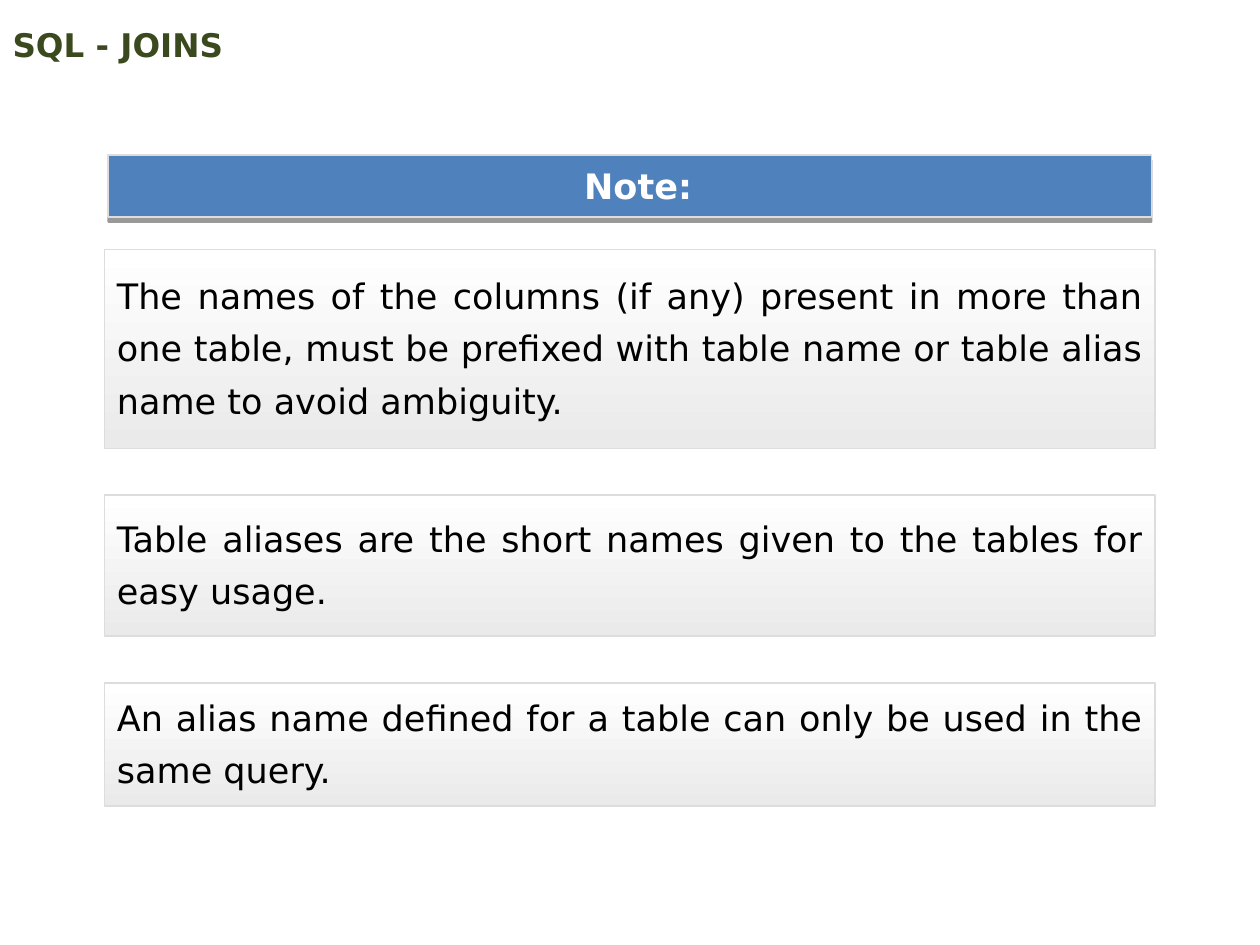
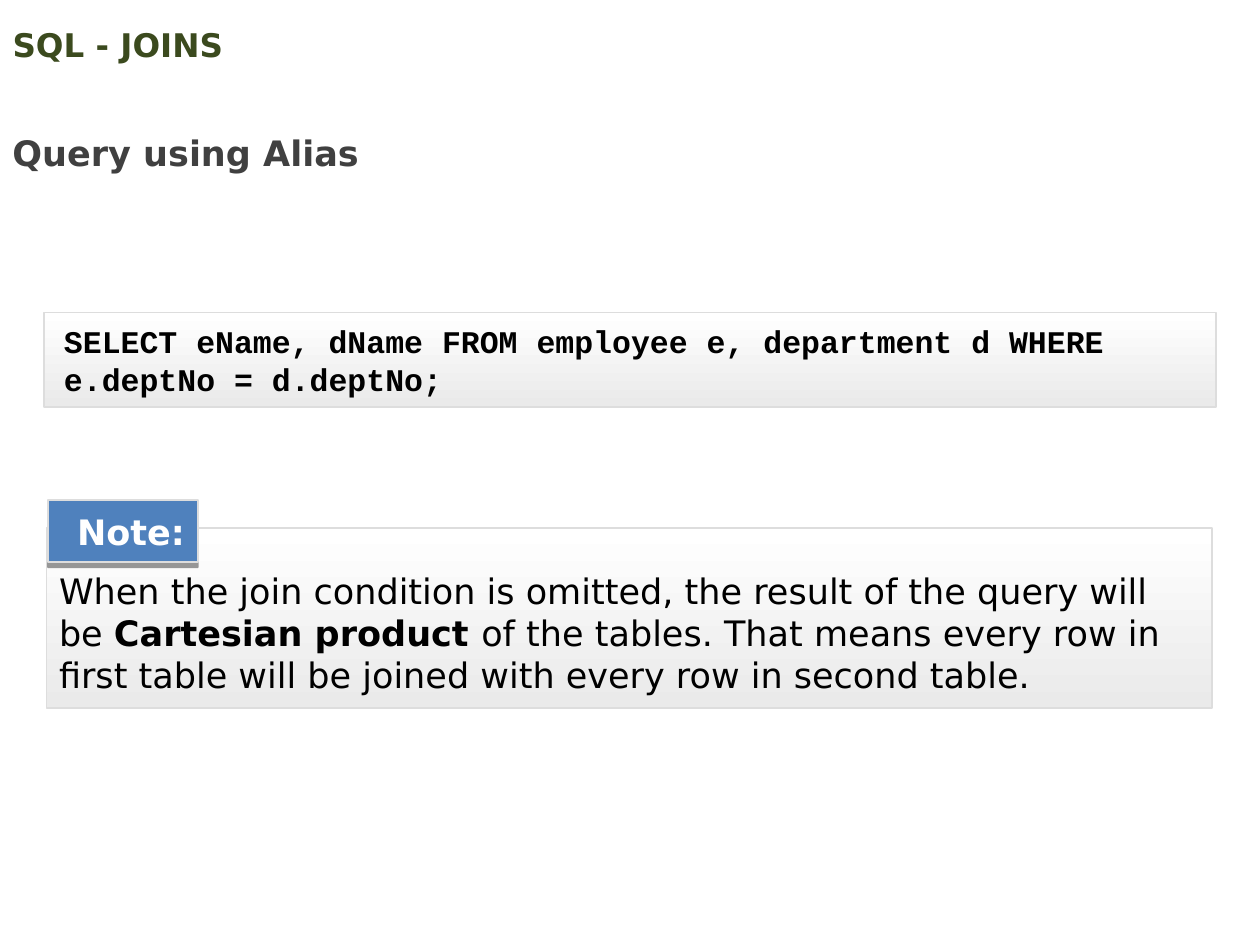
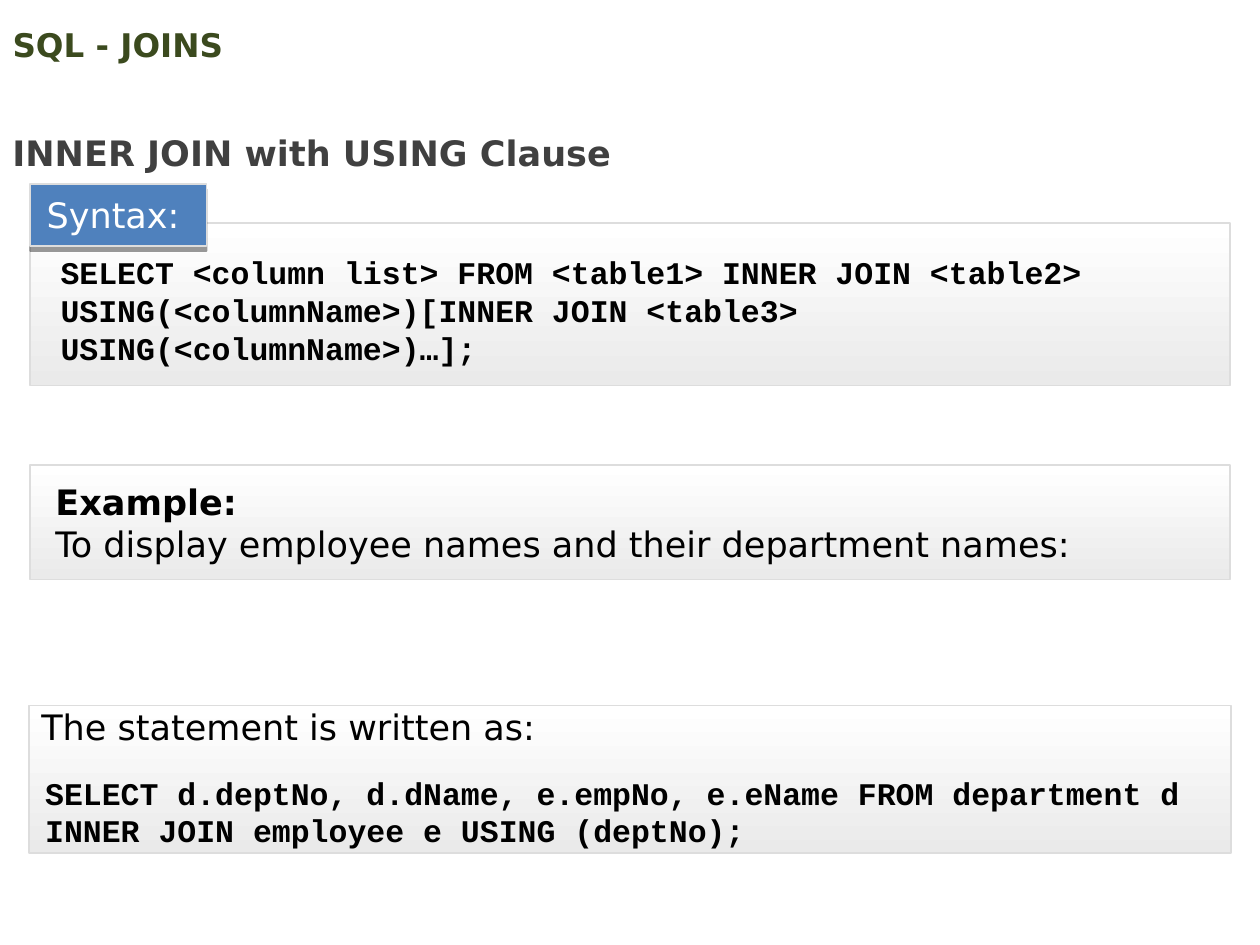
import pptx
import pptx.util
import pptx.dml.color
import pptx.enum.shapes
import pptx.enum.text
import pptx.oxml
import pptx.oxml.ns

Inches = pptx.util.Inches
Pt = pptx.util.Pt
Align = pptx.enum.text.PP_ALIGN
Anchor = pptx.enum.text.MSO_ANCHOR
Fit = pptx.enum.text.MSO_AUTO_SIZE
RECT = pptx.enum.shapes.MSO_SHAPE.RECTANGLE

# Content
TITLE = "SQL - JOINS"
NOTES = [
    (1.58, "The names of the columns (if any) present in more than one table, "
           "must be prefixed with table name or table alias name to avoid ambiguity."),
    (1.12, "Table aliases are the short names given to the tables for easy usage."),
    (0.98, "An alias name defined for a table can only be used in the same query."),
]
ALIAS = {
    "head": "Query using Alias",
    "query": "SELECT eName, dName FROM employee e, department d WHERE e.deptNo = d.deptNo;",
    "note": [("When the join condition is omitted, the result of the query will be ", "body"),
             ("Cartesian product ", "strong"),
             ("of the tables. That means every row in first table will be joined "
              "with every row in second table.", "body")],
}
INNER = {
    "head": "INNER JOIN with USING Clause",
    "syntax": ["SELECT <column list> FROM <table1> INNER JOIN <table2>",
               "USING(<columnName>)[INNER JOIN <table3> USING(<columnName>)…];"],
    "task": [("Example:", "strong"),
             ("To display employee names and their department names:", "body")],
    "lead": "The statement is written as:",
    "query": "SELECT d.deptNo, d.dName, e.empNo, e.eName FROM department d "
             "INNER JOIN employee e USING (deptNo);",
}

# Shared look
HUES = {"title": "3B4A1E", "head": "404040", "ink": "000000", "white": "FFFFFF",
        "badge": "4F81BD", "edge": "DDDDDD", "low": "EAEAEA"}
SANS, MONO = "DejaVu Sans", "Courier New"
STYLES = {  # font, size, bold, colour
    "title": (SANS, 18.6, True, "title"),
    "head": (SANS, 20, True, "head"),
    "body": (SANS, 20, False, "ink"),
    "strong": (SANS, 20, True, "ink"),
    "code": (MONO, 18, True, "ink"),
    "badge": (SANS, 20, True, "white"),
    "label": (SANS, 20, False, "white"),
}
INSET = (0.1, 0.05, 0.1, 0.05)
PAD = (0.1, 0, 0.1, 0.1)
SHADOW = ('<a:effectLst %s><a:outerShdw blurRad="0" dist="38100" dir="5400000" '
          'algn="ctr" rotWithShape="0"><a:srgbClr val="000000"><a:alpha val="40000"/>'
          '</a:srgbClr></a:outerShdw></a:effectLst>' % pptx.oxml.ns.nsdecls("a"))


def hue(name):
    return pptx.dml.color.RGBColor.from_string(HUES[name])


def write(shape, paras, inset=INSET, anchor=Anchor.TOP, align=Align.LEFT,
          space=None, fit=Fit.NONE):
    """Fill a shape with paragraphs, each a list of (text, style) runs."""
    frame = shape.text_frame
    frame.word_wrap = True
    frame.auto_size = fit
    frame.vertical_anchor = anchor
    (frame.margin_left, frame.margin_top,
     frame.margin_right, frame.margin_bottom) = map(Inches, inset)
    for i, runs in enumerate(paras):
        para = frame.add_paragraph() if i else frame.paragraphs[0]
        para.alignment = align
        if space:
            para.line_spacing = space
        for text, style in runs:
            run = para.add_run()
            run.text = text
            font = run.font
            font.name, size, font.bold, tone = STYLES[style]
            font.size = Pt(size)
            font.color.rgb = hue(tone)


def box(page, area):
    shape = page.shapes.add_shape(RECT, *map(Inches, area))
    shape.shadow.inherit = False
    shape.line.color.rgb = hue("edge")
    shape.line.width = Pt(1)
    return shape


def panel(page, area, paras=(), **look):
    """Box shaded from white down to grey."""
    shape = box(page, area)
    shape.fill.gradient()
    shape.fill.gradient_angle = 270
    for stop, tone, spot in zip(shape.fill.gradient_stops, ("white", "low"), (0, 1)):
        stop.color.rgb = hue(tone)
        stop.position = spot
    write(shape, paras, **look)
    return shape


def badge(page, area, text, style="badge", align=Align.CENTER):
    """Blue label with a hard shadow below."""
    shape = box(page, area)
    shape.fill.solid()
    shape.fill.fore_color.rgb = hue("badge")
    props = shape._element.spPr
    props.remove(props.find(pptx.oxml.ns.qn("a:effectLst")))
    props.append(pptx.oxml.parse_xml(SHADOW))
    write(shape, [[(text, style)]], (0, 0, 0, 0), Anchor.MIDDLE, align)
    para = shape.text_frame.paragraphs[0]
    para._p.get_or_add_pPr().set("marL", str(Inches(0.13)))
    return shape


def label(page, area, text, style, space=None):
    shape = page.shapes.add_textbox(*map(Inches, area))
    write(shape, [[(text, style)]], space=space, fit=Fit.SHAPE_TO_FIT_TEXT)


def start(deck, head=None):
    """New slide with the shared title and an optional heading."""
    page = deck.slides.add_slide(deck.slide_layouts[5])
    title = page.shapes.title
    title.left, title.top, title.width, title.height = map(Inches, (0, 0.14, 9, 0.43))
    write(title, [[(TITLE, "title")]], anchor=Anchor.MIDDLE)
    if head:
        label(page, (0, 0.83, 7.09, 0.6), head, "head", 1.5)
    return page


def notes(deck):
    page = start(deck)
    badge(page, (0.86, 1.23, 8.28, 0.49), "Note:")
    top, gap = 1.98, 0.37
    for tall, text in NOTES:
        panel(page, (0.83, top, 8.34, tall), [[(text, "body")]], inset=PAD,
              anchor=Anchor.MIDDLE, align=Align.JUSTIFY, space=Pt(30))
        top += tall + gap


def alias(deck):
    page = start(deck, ALIAS["head"])
    panel(page, (0.35, 2.48, 9.3, 0.75))
    label(page, (0.41, 2.51, 8.66, 0.7), ALIAS["query"], "code")
    note = panel(page, (0.37, 4.19, 9.25, 1.43), [ALIAS["note"]],
                 inset=PAD, anchor=Anchor.BOTTOM)
    tag = badge(page, (0.38, 3.97, 1.19, 0.49), "Note:")
    page.shapes.add_group_shape([note, tag])


def inner(deck):
    page = start(deck, INNER["head"])
    left, wide = 0.24, 9.52
    code = panel(page, (left, 1.77, wide, 1.29),
                 [[(line, "code")] for line in INNER["syntax"]],
                 inset=(0.24, 0.24, 0.24, 0))
    tag = badge(page, (left, 1.46, 1.4, 0.49), "Syntax:", "label", Align.LEFT)
    page.shapes.add_group_shape([code, tag])
    panel(page, (left, 3.69, wide, 0.91), [[run] for run in INNER["task"]],
          inset=(0.2, 0, 0.2, 0), anchor=Anchor.MIDDLE)
    panel(page, (0.23, 5.6, 9.54, 1.17), [[(INNER["lead"], "body")]],
          inset=(0.1, 0, 0.1, 0))
    label(page, (0.26, 6.09, 9.49, 0.7), INNER["query"], "code")


def main():
    deck = pptx.Presentation()
    deck.slide_width, deck.slide_height = Inches(10), Inches(7.5)
    for build in (notes, alias, inner):
        build(deck)
    deck.save("out.pptx")


if __name__ == "__main__":
    main()
